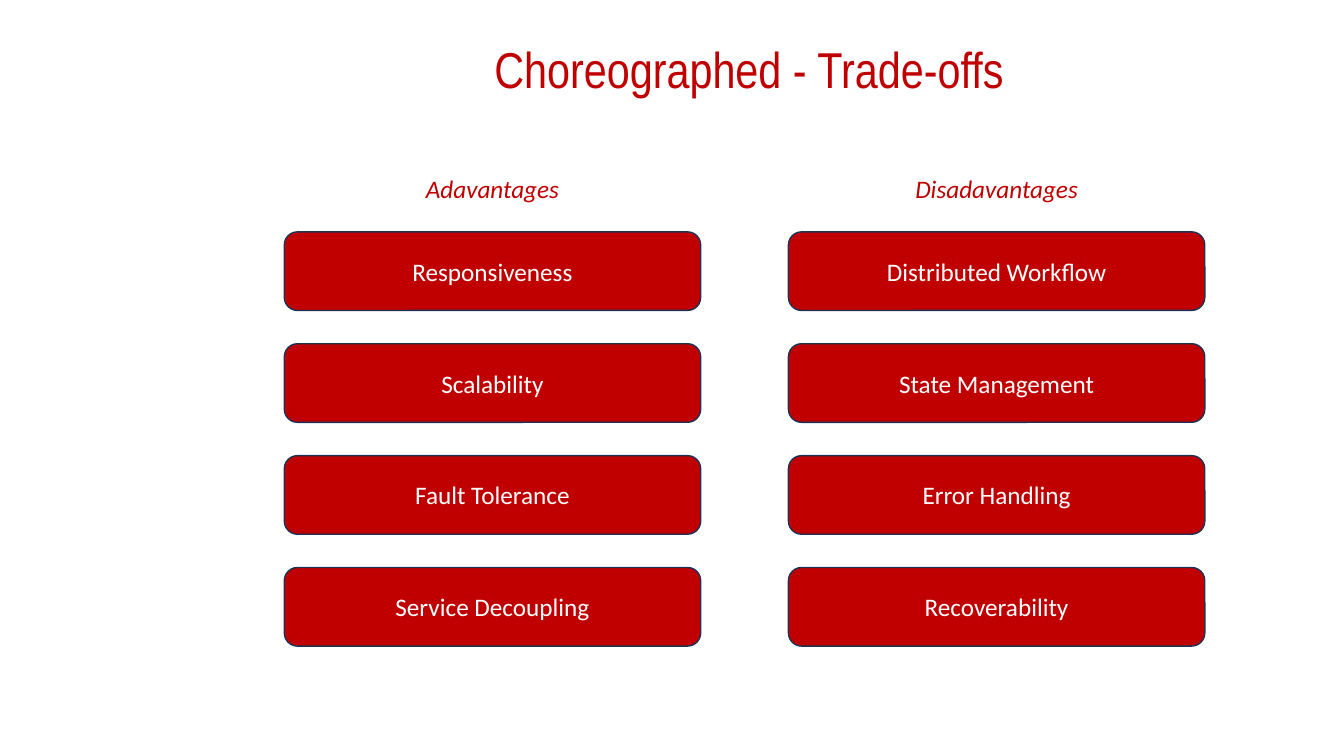
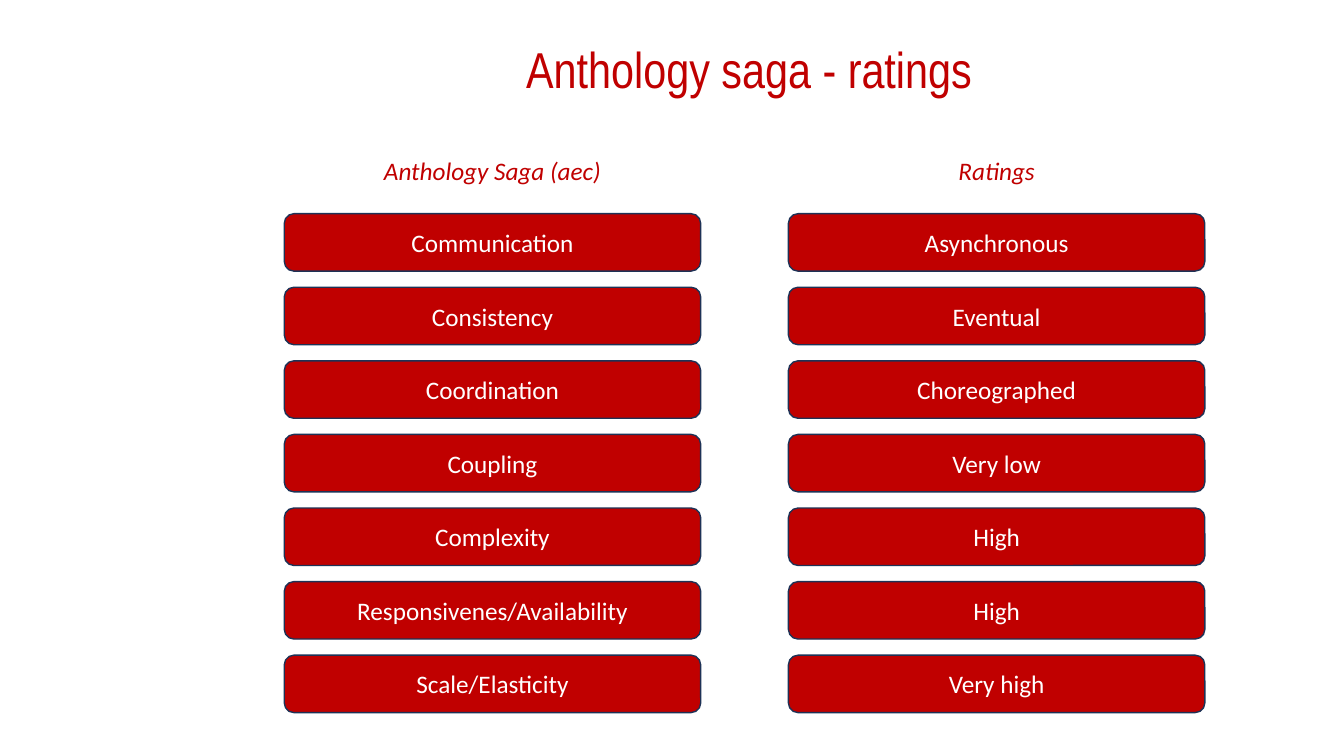
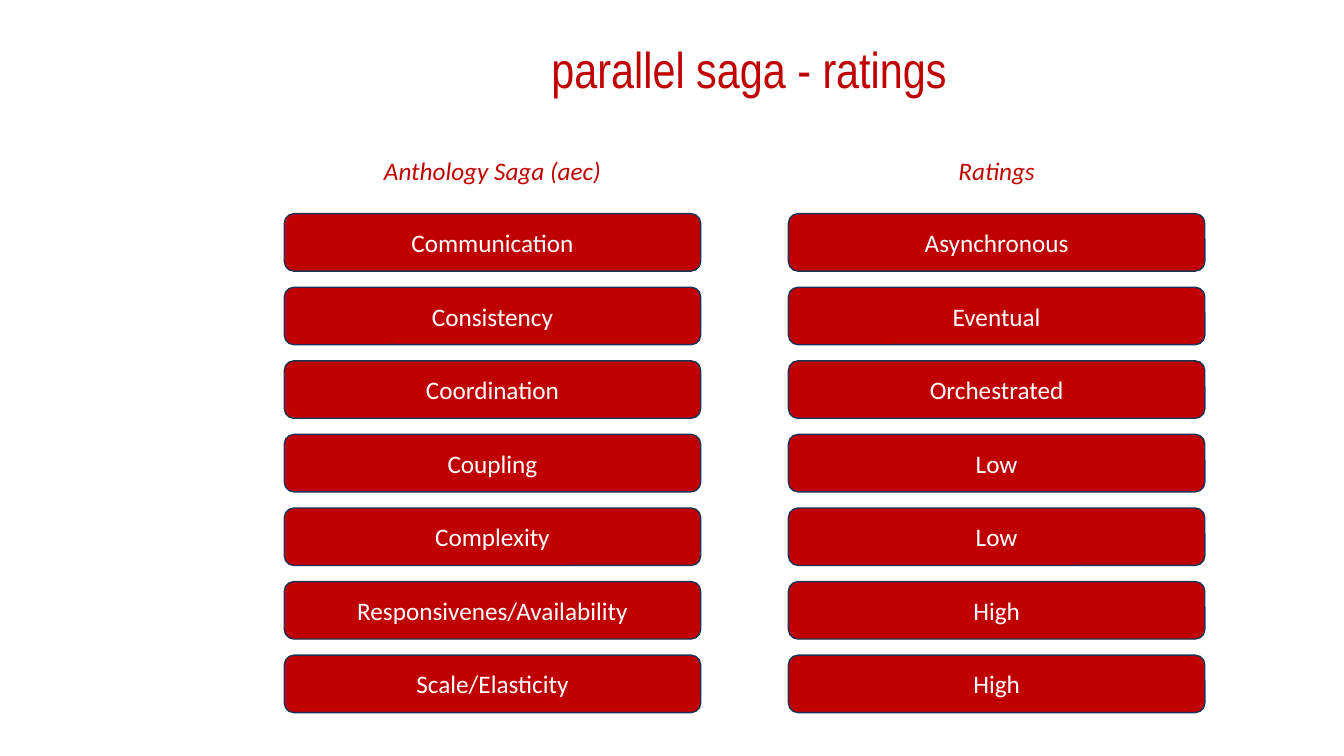
from dataclasses import dataclass

from pptx import Presentation
from pptx.dml.color import RGBColor
from pptx.enum.shapes import MSO_SHAPE
from pptx.enum.text import MSO_ANCHOR, MSO_AUTO_SIZE, PP_ALIGN
from pptx.shapes.autoshape import Shape
from pptx.slide import Slide
from pptx.util import Inches, Pt

RED = RGBColor(0xC0, 0x00, 0x00)
NAVY = RGBColor(0x1E, 0x32, 0x56)
WHITE = RGBColor(0xFF, 0xFF, 0xFF)

TITLE_FONT = "Arial Narrow"
BODY_FONT = "Calibri"

COLUMN_LEFTS = (2.82, 7.82)
COLUMN_WIDTH = 4.13
HEADING_HEIGHT = 0.4
HEADING_OFFSET = 0.63


@dataclass(frozen=True)
class Column:
    heading: str
    items: tuple[str, ...]


@dataclass(frozen=True)
class RowGrid:
    top: float
    height: float
    pitch: float


@dataclass(frozen=True)
class ComparisonSlide:
    title: str
    grid: RowGrid
    columns: tuple[Column, Column]


TRADE_OFF_GRID = RowGrid(top=2.3, height=0.78, pitch=1.11)
RATING_GRID = RowGrid(top=2.12, height=0.57, pitch=0.73)

CHARACTERISTICS = Column(
    "Anthology Saga (aec)",
    (
        "Communication",
        "Consistency",
        "Coordination",
        "Coupling",
        "Complexity",
        "Responsivenes/Availability",
        "Scale/Elasticity",
    ),
)

SLIDES = (
    ComparisonSlide(
        "Choreographed - Trade-offs",
        TRADE_OFF_GRID,
        (
            Column(
                "Adavantages",
                ("Responsiveness", "Scalability", "Fault Tolerance", "Service Decoupling"),
            ),
            Column(
                "Disadavantages",
                ("Distributed Workflow", "State Management", "Error Handling", "Recoverability"),
            ),
        ),
    ),
    ComparisonSlide(
        "Anthology saga - ratings",
        RATING_GRID,
        (
            CHARACTERISTICS,
            Column(
                "Ratings",
                ("Asynchronous", "Eventual", "Choreographed", "Very low", "High", "High", "Very high"),
            ),
        ),
    ),
    ComparisonSlide(
        "parallel saga - ratings",
        RATING_GRID,
        (
            CHARACTERISTICS,
            Column(
                "Ratings",
                ("Asynchronous", "Eventual", "Orchestrated", "Low", "Low", "High", "High"),
            ),
        ),
    ),
)


def write_centred(
    shape: Shape,
    text: str,
    color: RGBColor,
    font_name: str = BODY_FONT,
    size: int = 18,
    italic: bool = False,
) -> None:
    shape.text_frame.word_wrap = True
    paragraph = shape.text_frame.paragraphs[0]
    paragraph.alignment = PP_ALIGN.CENTER
    run = paragraph.add_run()
    run.text = text
    run.font.name = font_name
    run.font.size = Pt(size)
    run.font.italic = italic
    run.font.color.rgb = color


def add_title(slide: Slide, text: str) -> None:
    title = slide.shapes.add_textbox(Inches(2.45), Inches(0.4), Inches(9.96), Inches(0.88))
    write_centred(title, text, RED, TITLE_FONT, 36)
    title.text_frame.paragraphs[0].line_spacing = 0.9


def add_heading(slide: Slide, text: str, left: float, top: float) -> None:
    heading = slide.shapes.add_textbox(
        Inches(left), Inches(top), Inches(COLUMN_WIDTH), Inches(HEADING_HEIGHT)
    )
    write_centred(heading, text, RED, italic=True)
    heading.text_frame.auto_size = MSO_AUTO_SIZE.SHAPE_TO_FIT_TEXT


def add_item(slide: Slide, text: str, left: float, top: float, height: float) -> None:
    item = slide.shapes.add_shape(
        MSO_SHAPE.FLOWCHART_ALTERNATE_PROCESS,
        Inches(left),
        Inches(top),
        Inches(COLUMN_WIDTH),
        Inches(height),
    )
    item.shadow.inherit = False
    item.fill.solid()
    item.fill.fore_color.rgb = RED
    item.line.color.rgb = NAVY
    item.line.width = Pt(1)
    item.text_frame.vertical_anchor = MSO_ANCHOR.MIDDLE
    write_centred(item, text, WHITE)


def add_column(slide: Slide, column: Column, left: float, grid: RowGrid) -> None:
    add_heading(slide, column.heading, left, grid.top - HEADING_OFFSET)
    for row, text in enumerate(column.items):
        add_item(slide, text, left, grid.top + row * grid.pitch, grid.height)


def main() -> None:
    presentation = Presentation()
    presentation.slide_width = Inches(13.33)
    presentation.slide_height = Inches(7.5)
    blank_layout = presentation.slide_layouts[6]
    for content in SLIDES:
        slide = presentation.slides.add_slide(blank_layout)
        add_title(slide, content.title)
        for column, left in zip(content.columns, COLUMN_LEFTS):
            add_column(slide, column, left, content.grid)
    presentation.save("out.pptx")


if __name__ == "__main__":
    main()
